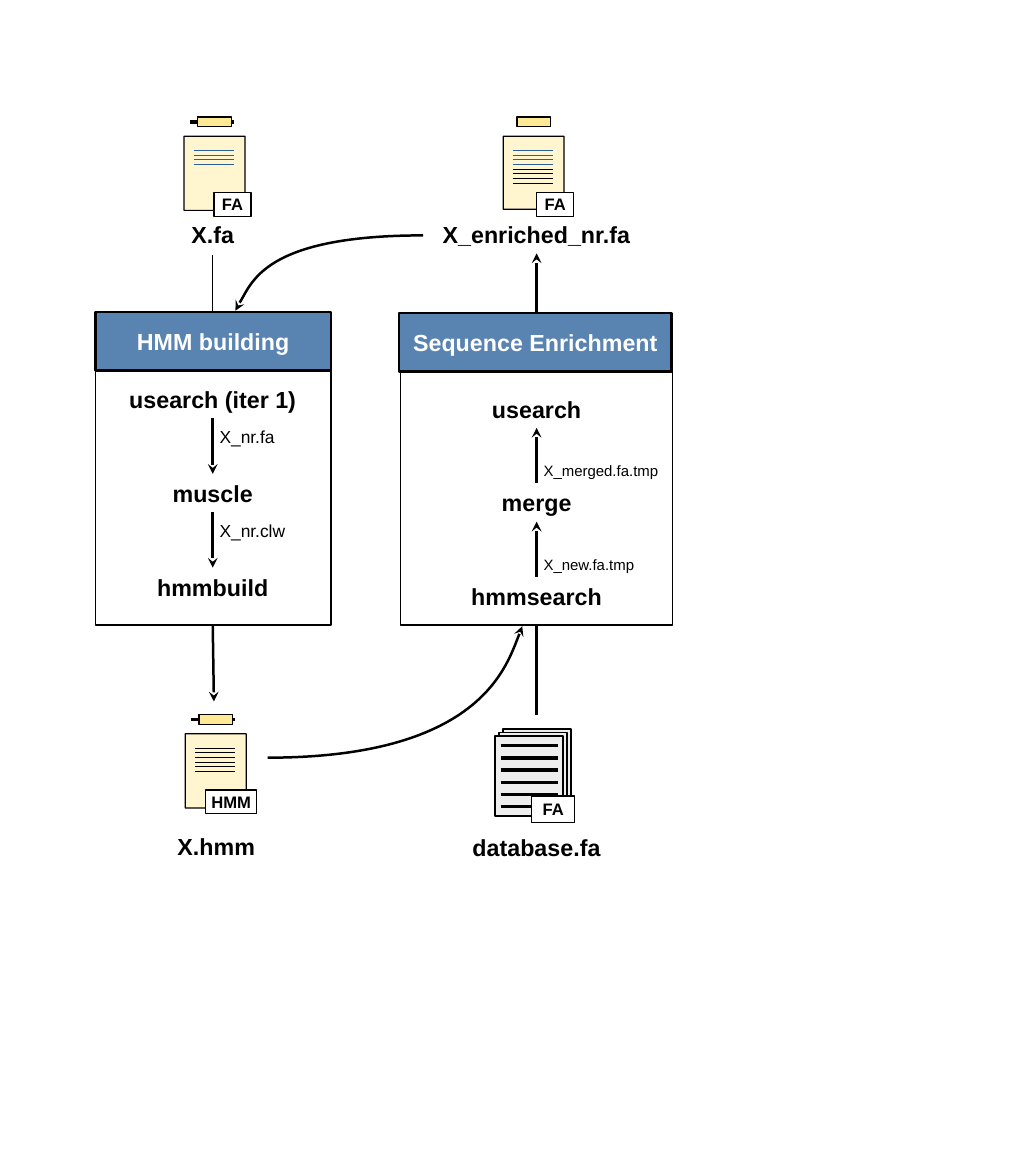
import pptx
import pptx.dml.color
import pptx.enum.shapes
import pptx.enum.text
import pptx.oxml.ns
import pptx.util
from lxml import etree

Inches = pptx.util.Inches
SHAPES = pptx.enum.shapes.MSO_SHAPE
ALIGN = pptx.enum.text.PP_ALIGN
BLACK, WHITE, BLUE = "000000", "FFFFFF", "2A6099"
HEADER_BLUE, PAPER, CLIP, GREY = "5983B0", "FFF5CE", "FFE994", "EEEEEE"
STEP_HEIGHT, STEP_PITCH = 0.32, 0.785


# Shared drawing helpers
def color(value):
    return pptx.dml.color.RGBColor.from_string(value)


def add_child(parent, tag, **attributes):
    return etree.SubElement(parent, pptx.oxml.ns.qn(tag), **attributes)


def find_part(shape, tag):
    return next(shape._element.iter(pptx.oxml.ns.qn(tag)))


def style_line(line, width, line_color=BLACK, arrow=False):
    line.color.rgb = color(line_color)
    line.width = pptx.util.Pt(width)
    if arrow:
        add_child(line._get_or_add_ln(), "a:tailEnd", type="stealth")


def add_line(page, start, end, width, line_color=BLACK, arrow=False):
    connector = page.shapes.add_connector(
        pptx.enum.shapes.MSO_CONNECTOR.STRAIGHT,
        *map(Inches, (*start, *end)))
    style_line(connector.line, width, line_color, arrow)
    add_child(connector._element.spPr, "a:effectLst")


def add_rules(page, left, top, length, pitch, colors, width):
    for index, rule_color in enumerate(colors):
        y = top + index * pitch
        add_line(page, (left, y), (left + length, y), width, rule_color)


def add_box(page, box, fill=None, width=0, kind=SHAPES.RECTANGLE):
    shape = page.shapes.add_shape(kind, *map(Inches, box))
    shape.shadow.inherit = False
    if fill:
        shape.fill.solid()
        shape.fill.fore_color.rgb = color(fill)
    else:
        shape.fill.background()
    style_line(shape.line, width)
    return shape


def write_text(shape, text, size=14, bold=True, text_color=BLACK,
               align=ALIGN.CENTER):
    frame = shape.text_frame
    frame.word_wrap = align == ALIGN.LEFT
    frame.vertical_anchor = pptx.enum.text.MSO_ANCHOR.MIDDLE
    para = frame.paragraphs[0]
    para.alignment = align
    span = para.add_run()
    span.text = text
    span.font.name = "Arial"
    span.font.size = pptx.util.Pt(size)
    span.font.bold = bold
    span.font.color.rgb = color(text_color)


def add_label(page, box, text, **text_format):
    write_text(page.shapes.add_textbox(*map(Inches, box)), text, **text_format)


def add_tag(page, box, text):
    write_text(add_box(page, box, WHITE), text, size=10)


def add_curve(page, start, control, end):
    """Curved arrow whose second control point is its end."""
    points = [tuple(map(Inches, point)) for point in (control, end, end)]
    builder = page.shapes.build_freeform(*map(Inches, start))
    builder.add_line_segments(points, close=False)
    curve = builder.convert_to_shape()
    curve.shadow.inherit = False
    curve.fill.background()
    style_line(curve.line, 1.5, arrow=True)
    # Merge the three straight segments into one cubic curve
    outline = find_part(curve, "a:path")
    segments = outline.findall(pptx.oxml.ns.qn("a:lnTo"))
    bezier = add_child(outline, "a:cubicBezTo")
    for segment in segments:
        bezier.append(segment[0])
        outline.remove(segment)


# File icons
def draw_clipped_file(page, box, rule_colors, tag, tag_left, tag_width,
                      ring=True):
    left, top, width, height = box
    paper = add_box(page, box, PAPER, kind=SHAPES.FOLDED_CORNER)
    add_child(find_part(paper, "a:avLst"), "a:gd", name="adj", fmla="val 12500")
    add_child(find_part(paper, "a:srgbClr"), "a:alpha", val="97000")
    add_rules(page, left + 0.08, top + 0.12, 0.34, 0.039, rule_colors, 0.5)
    if ring:
        add_line(page, (left + 0.05, top - 0.12),
                 (left + 0.42, top - 0.12), 0)
    add_box(page, (left + (width - 0.28) / 2, top - 0.16, 0.28, 0.08), CLIP)
    add_tag(page, (left + tag_left, top + 0.47, tag_width, 0.2), tag)


def draw_database(page, box):
    left, top, width, height = box
    for depth in (2, 1, 0):
        add_box(page, (left + 0.035 * depth, top - 0.03 * depth,
                       width, height), GREY, 1)
    add_rules(page, left + 0.05, top + 0.08, 0.48, 0.102, [BLACK] * 6, 0)
    add_tag(page, (left + 0.31, top + 0.5, 0.36, 0.22), "FA")


# Process panel: header, steps and the files passed between them
def draw_panel(page, box, header_at, title, axis, first_step, steps, files,
               file_size, file_drop, upward=False):
    add_box(page, box, width=0.79)
    header = add_box(page, (*header_at, box[2], 0.49), HEADER_BLUE, 1.5)
    write_text(header, title, text_color=WHITE)
    tops = [first_step + index * STEP_PITCH for index in range(len(steps))]
    for top, step in zip(tops, steps):
        add_label(page, (axis - 0.905, top, 1.81, STEP_HEIGHT), step)
    for top, next_top, file in zip(tops, tops[1:], files):
        ends = [(axis, top + STEP_HEIGHT), (axis, next_top)]
        start, end = reversed(ends) if upward else ends
        add_line(page, start, end, 1.5, arrow=True)
        add_label(page, (axis - 0.04, top + STEP_HEIGHT + file_drop,
                         1.17, 0.25), file,
                  size=file_size, bold=False, align=ALIGN.LEFT)


def draw_workflow(page):
    build_axis, enrich_axis = 1.78, 4.49

    # Input and output files
    draw_clipped_file(page, (1.54, 1.14, 0.51, 0.62), [BLUE] * 4,
                      "FA", 0.25, 0.31)
    draw_clipped_file(page, (4.21, 1.14, 0.51, 0.61),
                      [BLUE] * 4 + [BLACK] * 4, "FA", 0.28, 0.31, ring=False)
    draw_clipped_file(page, (1.55, 6.14, 0.51, 0.62), [BLACK] * 6,
                      "HMM", 0.17, 0.43)
    draw_database(page, (4.14, 6.16, 0.57, 0.67))
    for center, top, name in ((build_axis, 1.8, "X.fa"),
                              (enrich_axis, 1.8, "X_enriched_nr.fa"),
                              (1.81, 6.92, "X.hmm"),
                              (enrich_axis, 6.93, "database.fa")):
        add_label(page, (center - 0.98, top, 1.96, STEP_HEIGHT), name)

    # Links between files and panels
    add_line(page, (build_axis, 2.13), (build_axis, 2.67), 0.5)
    add_line(page, (build_axis, 5.23), (1.79, 5.87), 1.5, arrow=True)
    add_line(page, (enrich_axis, 5.98), (enrich_axis, 5.23), 1.5)
    add_line(page, (enrich_axis, 2.63), (enrich_axis, 2.12), 1.5, arrow=True)
    add_curve(page, (2.24, 6.34), (4.06, 6.34), (4.37, 5.24))
    add_curve(page, (3.54, 1.97), (2.2, 1.97), (1.97, 2.6))

    # Process panels
    draw_panel(page, (0.8, 2.63, 1.97, 2.6), (0.8, 2.61), "HMM building",
               build_axis, 3.18, ["usearch (iter 1)", "muscle", "hmmbuild"],
               ["X_nr.fa", "X_nr.clw"], file_size=10.5, file_drop=0.03)
    draw_panel(page, (3.35, 2.63, 2.28, 2.6), (3.34, 2.62),
               "Sequence Enrichment", enrich_axis, 3.26,
               ["usearch", "merge", "hmmsearch"],
               ["X_merged.fa.tmp", "X_new.fa.tmp"],
               file_size=9, file_drop=0.23, upward=True)


def main():
    deck = pptx.Presentation()
    deck.slide_width, deck.slide_height = Inches(8.66), Inches(9.84)
    draw_workflow(deck.slides.add_slide(deck.slide_layouts[6]))
    deck.save("out.pptx")


if __name__ == "__main__":
    main()
